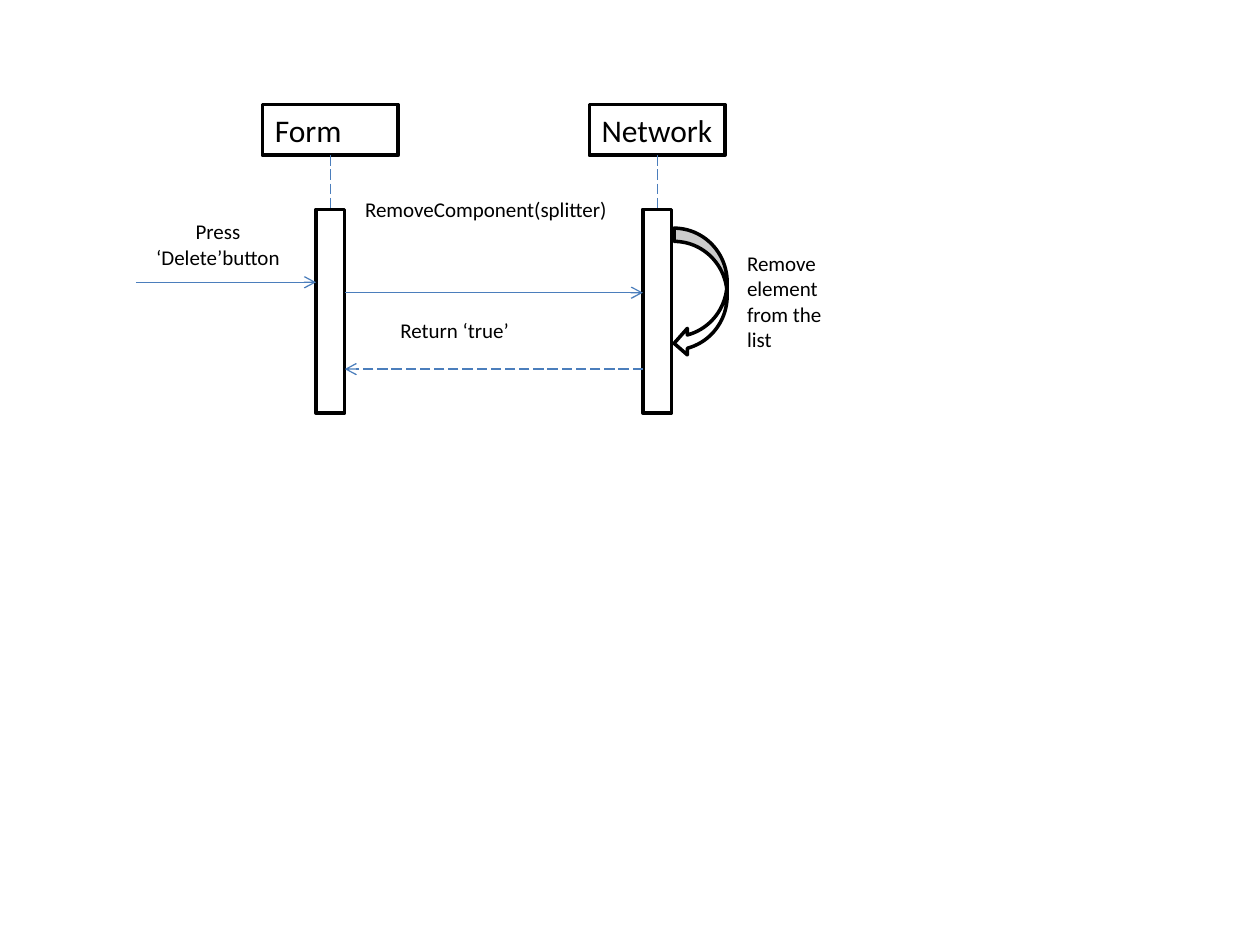
"""Build a sequence diagram of removing a component from the network."""
import pptx
import pptx.dml.color
import pptx.enum.dml
import pptx.enum.shapes
import pptx.enum.text
import pptx.oxml.ns
import pptx.util
import lxml.etree

Cm = pptx.util.Cm
Pt = pptx.util.Pt
Shapes = pptx.enum.shapes.MSO_SHAPE
Align = pptx.enum.text.PP_ALIGN


def paint(color_format, hex_color):
    """Set a colour from a hex string."""
    color_format.rgb = pptx.dml.color.RGBColor.from_string(hex_color)


def add_text(slide, left, top, width, height, text, size, alignment):
    """Add a white text box and return it."""
    box = slide.shapes.add_textbox(Cm(left), Cm(top), Cm(width), Cm(height))
    box.fill.solid()
    paint(box.fill.fore_color, "FFFFFF")
    frame = box.text_frame
    frame.word_wrap = True
    frame.auto_size = pptx.enum.text.MSO_AUTO_SIZE.SHAPE_TO_FIT_TEXT
    paragraph = frame.paragraphs[0]
    paragraph.alignment = alignment
    run = paragraph.add_run()
    run.text = text
    run.font.name = "Calibri"
    run.font.size = Pt(size)
    paint(run.font.color, "000000")
    return box


presentation = pptx.Presentation()
presentation.slide_width = Cm(25.4)
presentation.slide_height = Cm(19.05)
slide = presentation.slides.add_slide(presentation.slide_layouts[6])

head_top, head_width, head_height = 2.11, 2.74, 1.02
bar_top, bar_width, bar_height = 4.22, 0.58, 4.11
form_x, network_x = 6.66, 13.25
form_left, form_right = form_x - bar_width / 2, form_x + bar_width / 2
network_left = network_x - bar_width / 2

outlined = []
connectors = []
for name, center in [("Form", form_x), ("Network", network_x)]:
    head = add_text(slide, center - head_width / 2, head_top, head_width, head_height,
                    name, 18, Align.LEFT)
    bar = slide.shapes.add_shape(Shapes.RECTANGLE, Cm(center - bar_width / 2), Cm(bar_top),
                                 Cm(bar_width), Cm(bar_height))
    lifeline = slide.shapes.add_connector(
        pptx.enum.shapes.MSO_CONNECTOR.STRAIGHT,
        Cm(center), Cm(head_top + head_height), Cm(center), Cm(bar_top))
    lifeline.begin_connect(head, 2)
    lifeline.end_connect(bar, 0)
    outlined += [head, bar]
    connectors.append((lifeline, True, False))

self_call = slide.shapes.add_shape(Shapes.CURVED_LEFT_ARROW, Cm(13.59), Cm(4.6), Cm(1.07), Cm(2.59))
outlined.append(self_call)

for shape in outlined:
    shape.shadow.inherit = False
    shape.fill.solid()
    paint(shape.fill.fore_color, "FFFFFF")
    paint(shape.line.color, "000000")
    shape.line.width = Pt(2)

labels = [
    (7.11, 3.84, 5.74, 0.76, "RemoveComponent(splitter)", Align.LEFT),
    (7.82, 6.27, 4.7, 0.76, "Return ‘true’", Align.LEFT),
    (14.81, 4.93, 2.11, 2.31, "Remove element from the list", Align.LEFT),
    (2.77, 4.29, 3.25, 1.27, "Press ‘Delete’button", Align.CENTER),
]
for left, top, width, height, text, alignment in labels:
    add_text(slide, left, top, width, height, text, 12, alignment)

messages = [
    (2.74, form_left, 5.69, False),
    (form_right, network_left, 5.9, False),
    (network_left, form_right, 7.44, True),
]
for start, end, y, dashed in messages:
    message = slide.shapes.add_connector(
        pptx.enum.shapes.MSO_CONNECTOR.STRAIGHT, Cm(start), Cm(y), Cm(end), Cm(y))
    connectors.append((message, dashed, True))

for connector, dashed, arrow in connectors:
    paint(connector.line.color, "4B7EBC")
    connector.line.width = Pt(0.75)
    if dashed:
        connector.line.dash_style = pptx.enum.dml.MSO_LINE.LONG_DASH
    properties = connector._element.spPr
    if arrow:
        line = properties.find(pptx.oxml.ns.qn("a:ln"))
        lxml.etree.SubElement(line, pptx.oxml.ns.qn("a:tailEnd"), type="arrow")
    lxml.etree.SubElement(properties, pptx.oxml.ns.qn("a:effectLst"))

presentation.save("out.pptx")
